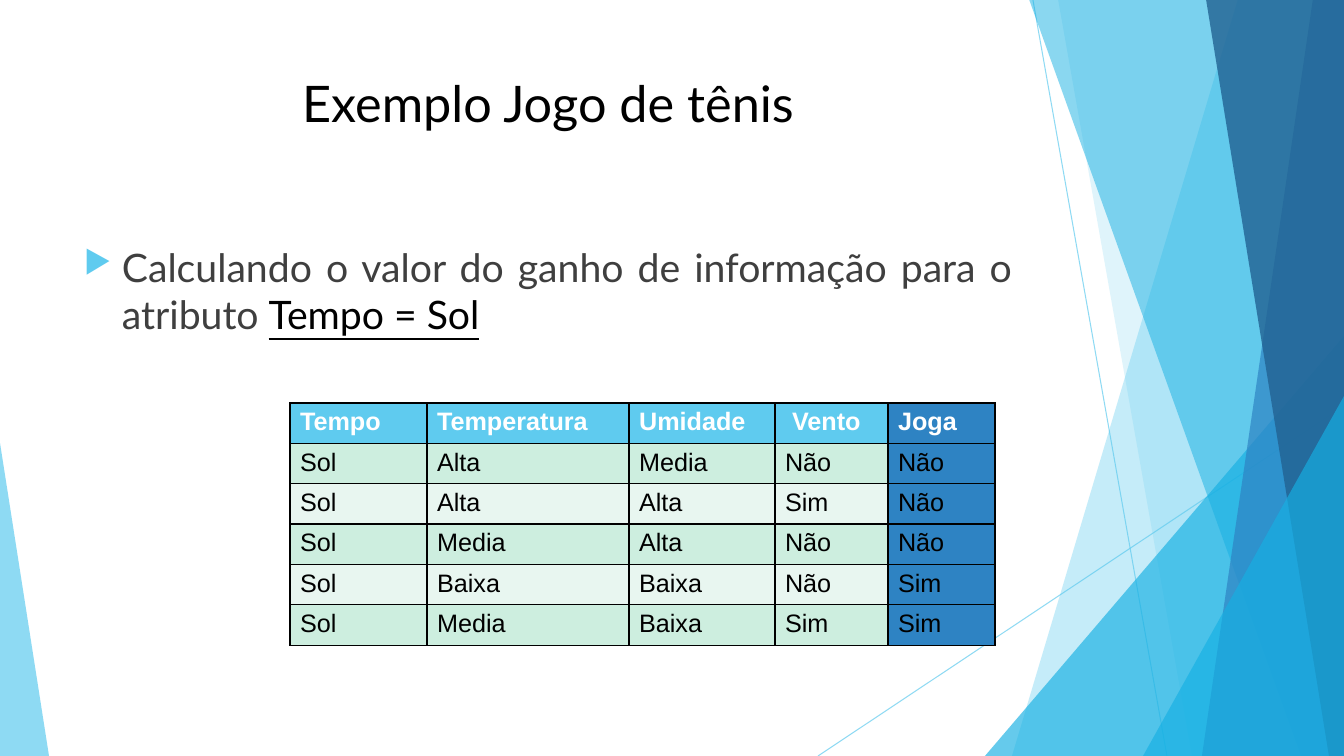
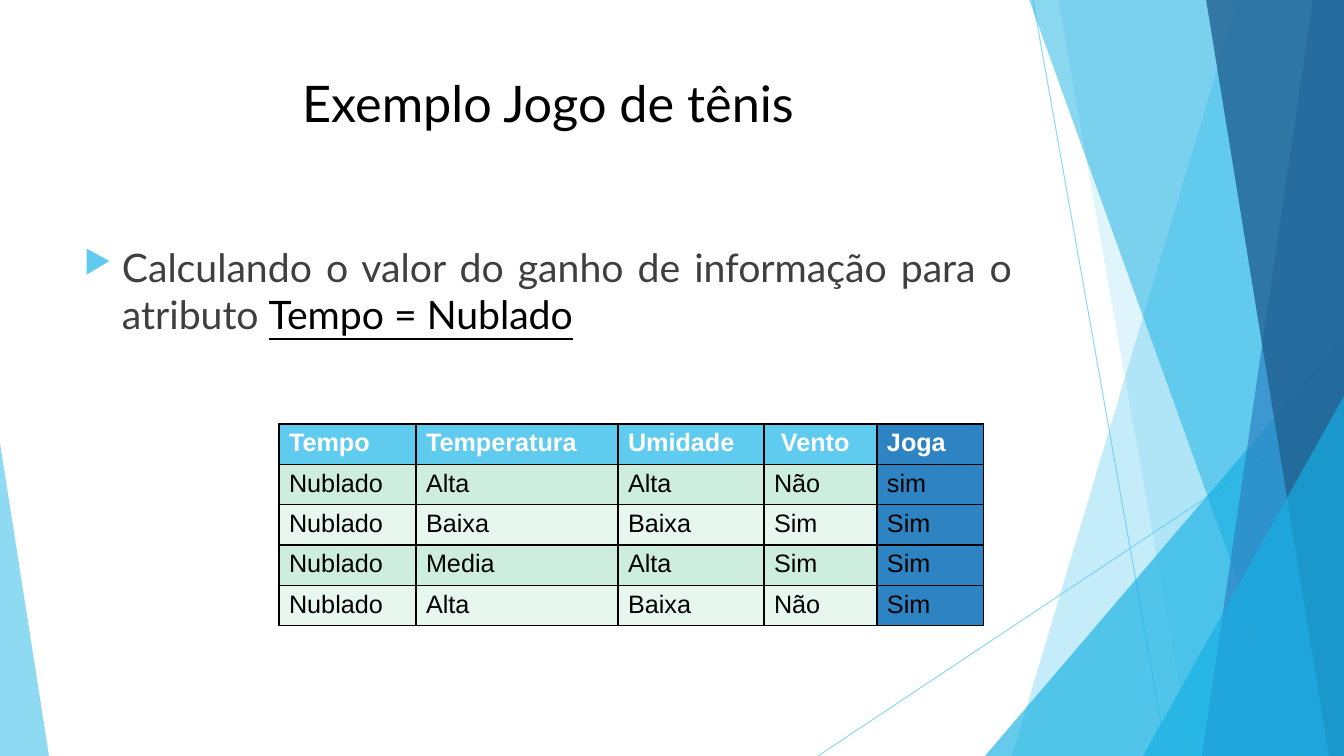
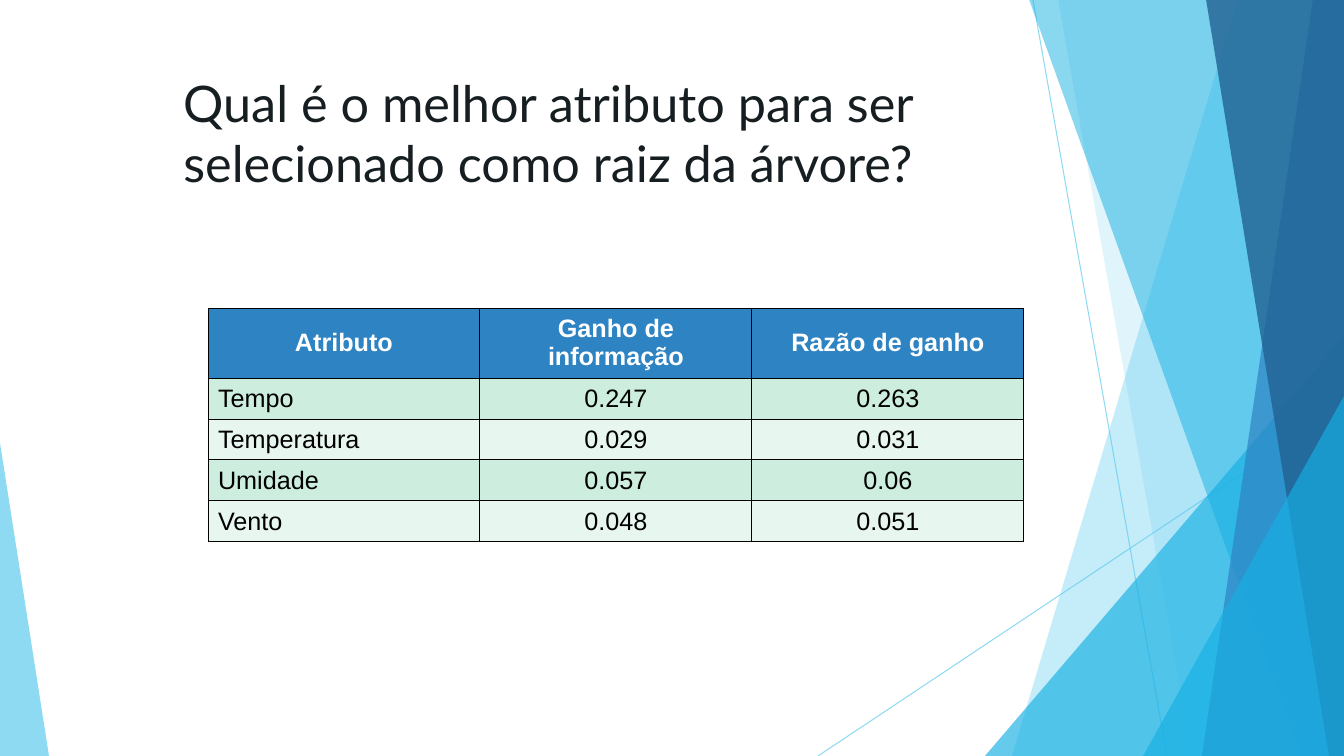
from lxml.etree import SubElement
from pptx import Presentation
from pptx.dml.color import RGBColor
from pptx.enum.shapes import MSO_CONNECTOR as CONNECTOR, MSO_SHAPE as SHAPE
from pptx.enum.text import MSO_ANCHOR as ANCHOR, MSO_AUTO_SIZE as AUTO_SIZE, PP_ALIGN as ALIGN
from pptx.oxml.ns import qn
from pptx.util import Pt

SLIDE_W, SLIDE_H = 1344, 756
EMU_PER_PX = 12192000 / SLIDE_W

SKY, CYAN, BLUE, NAVY = "5FCBEF", "16B0E3", "2E83C3", "226292"
MINT, PALE_MINT = "CDEEDF", "E8F6F0"
BLACK, WHITE, GREY, INK = "000000", "FFFFFF", "3F3F3F", "161E21"
HEADING_FONT, TABLE_FONT = "Lato", "Arial"
TITLE_BOX = (74, 67, 948, 145)
BODY_BOX = (74, 238, 948, 427)

# Bands reach the right edge: top-left x, bottom-left x, colour, opacity %.
BACK_BANDS = [(1238, 1012, SKY, 36), (1058, 1192, SKY, 20)]
FRONT_BANDS = [(1029, 1301, CYAN, 50), (1313, 1202, BLUE, 70), (1206, 1329, NAVY, 80)]

GAME_HEADER = ["Tempo", "Temperatura", "Umidade", " Vento", "Joga"]
GAME_COLUMNS = [137, 202, 146, 113, 107]
SUNNY_GAMES = [
    ["Sol", "Alta", "Media", "Não", "Não"],
    ["Sol", "Alta", "Alta", "Sim", "Não"],
    ["Sol", "Media", "Alta", "Não", "Não"],
    ["Sol", "Baixa", "Baixa", "Não", "Sim"],
    ["Sol", "Media", "Baixa", "Sim", "Sim"],
]
CLOUDY_GAMES = [
    ["Nublado", "Alta", "Alta", "Não", "sim"],
    ["Nublado", "Baixa", "Baixa", "Sim", "Sim"],
    ["Nublado", "Media", "Alta", "Sim", "Sim"],
    ["Nublado", "Alta", "Baixa", "Não", "Sim"],
]
GAINS = [
    ["Atributo", "Ganho de informação", "Razão de ganho"],
    ["Tempo", "0.247", "0.263"],
    ["Temperatura", "0.029", "0.031"],
    ["Umidade", "0.057", "0.06"],
    ["Vento", "0.048", "0.051"],
]


def px(*lengths):
    """Turn pixel lengths into a list of EMU."""
    return [round(length * EMU_PER_PX) for length in lengths]


def rgb(colour):
    return RGBColor.from_string(colour)


def set_all(target, values):
    for name, value in values.items():
        setattr(target, name, value)


def style_run(run, colour, **values):
    set_all(run.font, values)
    run.font.color.rgb = rgb(colour)


def set_opacity(shape, percent):
    for colour in shape.element.spPr.iter(qn("a:srgbClr")):
        SubElement(colour, qn("a:alpha"), val=str(percent * 1000))


def paint(shape, colour, opacity):
    shape.shadow.inherit = False
    shape.fill.solid()
    shape.fill.fore_color.rgb = rgb(colour)
    shape.line.fill.background()
    set_opacity(shape, opacity)


def add_ray(slide, *ends):
    ray = slide.shapes.add_connector(CONNECTOR.STRAIGHT, *px(*ends))
    ray.line.color.rgb = rgb(SKY)
    ray.line.width = Pt(0.75)
    set_opacity(ray, 70)
    SubElement(ray.element.spPr, qn("a:effectLst"))


def add_band(slide, top_x, bottom_x, colour, opacity):
    builder = slide.shapes.build_freeform(*px(top_x, -1))
    corners = [(SLIDE_W, -1), (SLIDE_W, SLIDE_H), (bottom_x, SLIDE_H)]
    builder.add_line_segments([px(*corner) for corner in corners], close=True)
    paint(builder.convert_to_shape(), colour, opacity)


def add_corner(slide, left, top, width, apex, colour, opacity):
    """Add a triangle standing on the bottom edge, apex 0 at left or 1 at right."""
    corner = slide.shapes.add_shape(
        SHAPE.ISOSCELES_TRIANGLE, *px(left, top, width, SLIDE_H - top))
    corner.adjustments[0] = apex
    paint(corner, colour, opacity)


def decorate_layout(slide):
    """Draw the facets, then move them to the layout that all slides share."""
    layout = slide.slide_layout
    for placeholder in list(layout.placeholders):
        if placeholder.placeholder_format.idx != 0:
            layout.shapes.element.remove(placeholder.element)
    add_ray(slide, 1033, 0, 1167, SLIDE_H)
    add_ray(slide, SLIDE_W, 406, 818, SLIDE_H)
    for band in BACK_BANDS:
        add_band(slide, *band)
    add_corner(slide, 985, 336, 359, 1, CYAN, 66)
    for band in FRONT_BANDS:
        add_band(slide, *band)
    add_corner(slide, 1143, 396, 201, 1, CYAN, 66)
    add_corner(slide, 0, 443, 49, 0, SKY, 70)
    for facet in list(slide.shapes):
        if not facet.is_placeholder:
            layout.shapes.element.append(facet.element)


def place(shape, box):
    set_all(shape, dict(zip(("left", "top", "width", "height"), px(*box))))


def set_title(slide, text, colour=BLACK):
    title = slide.shapes.title
    place(title, TITLE_BOX)
    set_all(title.text_frame, {"vertical_anchor": ANCHOR.TOP, "word_wrap": True,
                               "auto_size": AUTO_SIZE.NONE})
    paragraph = title.text_frame.paragraphs[0]
    paragraph.alignment = ALIGN.CENTER
    run = paragraph.add_run()
    run.text = text
    style_run(run, colour, size=Pt(36), name=HEADING_FONT)


def add_bullet(paragraph, indent):
    properties = paragraph._p.get_or_add_pPr()
    (hanging,) = px(indent)
    properties.set("marL", str(hanging))
    properties.set("indent", str(-hanging))
    SubElement(SubElement(properties, qn("a:buClr")), qn("a:srgbClr"), val=SKY)
    SubElement(properties, qn("a:buSzPct"), val="80000")
    SubElement(properties, qn("a:buChar"), char="▶")


def add_statement(slide, condition):
    frame = slide.shapes.add_textbox(*px(*BODY_BOX)).text_frame
    frame.word_wrap = True
    paragraph = frame.paragraphs[0]
    paragraph.alignment = ALIGN.JUSTIFY
    add_bullet(paragraph, 38)
    parts = [("Calculando o valor do ganho de informação para o atributo ", GREY, False),
             (condition, BLACK, True)]
    for text, colour, underline in parts:
        run = paragraph.add_run()
        run.text = text
        style_run(run, colour, size=Pt(28), name=HEADING_FONT, underline=underline)


def add_borders(cell, points):
    properties = cell._tc.get_or_add_tcPr()
    for side in ("lnL", "lnR", "lnT", "lnB"):
        border = SubElement(properties, qn(f"a:{side}"), w=str(Pt(points)))
        SubElement(SubElement(border, qn("a:solidFill")), qn("a:srgbClr"), val=BLACK)


def fill_cell(cell, text, fill, border, header, align, anchor):
    add_borders(cell, border)
    cell.fill.solid()
    cell.fill.fore_color.rgb = rgb(fill)
    cell.vertical_anchor = anchor
    paragraph = cell.text_frame.paragraphs[0]
    paragraph.alignment = align
    run = paragraph.add_run()
    run.text = text
    style_run(run, WHITE if header else BLACK,
              size=Pt(18), name=TABLE_FONT, bold=header)


def add_grid(slide, left, top, widths, heights, rows, cell_format):
    """Add a table; cell_format(row, column) gives the format of each cell."""
    frame = slide.shapes.add_table(
        len(rows), len(widths), *px(left, top, sum(widths), sum(heights)))
    table = frame.table
    for column, width in zip(table.columns, px(*widths)):
        column.width = width
    for row, height in zip(table.rows, px(*heights)):
        row.height = height
    for r, texts in enumerate(rows):
        for c, text in enumerate(texts):
            fill_cell(table.cell(r, c), text, header=r == 0, **cell_format(r, c))


def row_fill(row, header_fill):
    if row == 0:
        return header_fill
    return MINT if row % 2 else PALE_MINT


def game_format(row, column):
    outcome = column == len(GAME_COLUMNS) - 1
    return {"fill": BLUE if outcome else row_fill(row, SKY), "border": 1,
            "align": ALIGN.LEFT, "anchor": ANCHOR.TOP}


def gain_format(row, column):
    label = row > 0 and column == 0
    return {"fill": row_fill(row, BLUE), "border": 0.75,
            "align": ALIGN.LEFT if label else ALIGN.CENTER, "anchor": ANCHOR.MIDDLE}


def add_game_content(slide, condition, left, top, games):
    set_title(slide, "Exemplo Jogo de tênis")
    add_statement(slide, condition)
    rows = [GAME_HEADER, *games]
    add_grid(slide, left, top, GAME_COLUMNS, [38] * len(rows), rows, game_format)


def main():
    deck = Presentation()
    deck.slide_width, deck.slide_height = px(SLIDE_W, SLIDE_H)
    title_only = deck.slide_layouts[5]
    sunny, cloudy, root = [deck.slides.add_slide(title_only) for _ in range(3)]
    decorate_layout(sunny)

    add_game_content(sunny, "Tempo = Sol", 290, 403, SUNNY_GAMES)
    add_game_content(cloudy, "Tempo = Nublado", 279, 424, CLOUDY_GAMES)

    set_title(root, "Qual é o melhor atributo para ser selecionado como raiz da árvore?", INK)
    add_grid(root, 208, 308, [272] * 3, [70] + [41] * 4, GAINS, gain_format)

    deck.save("out.pptx")


if __name__ == "__main__":
    main()
